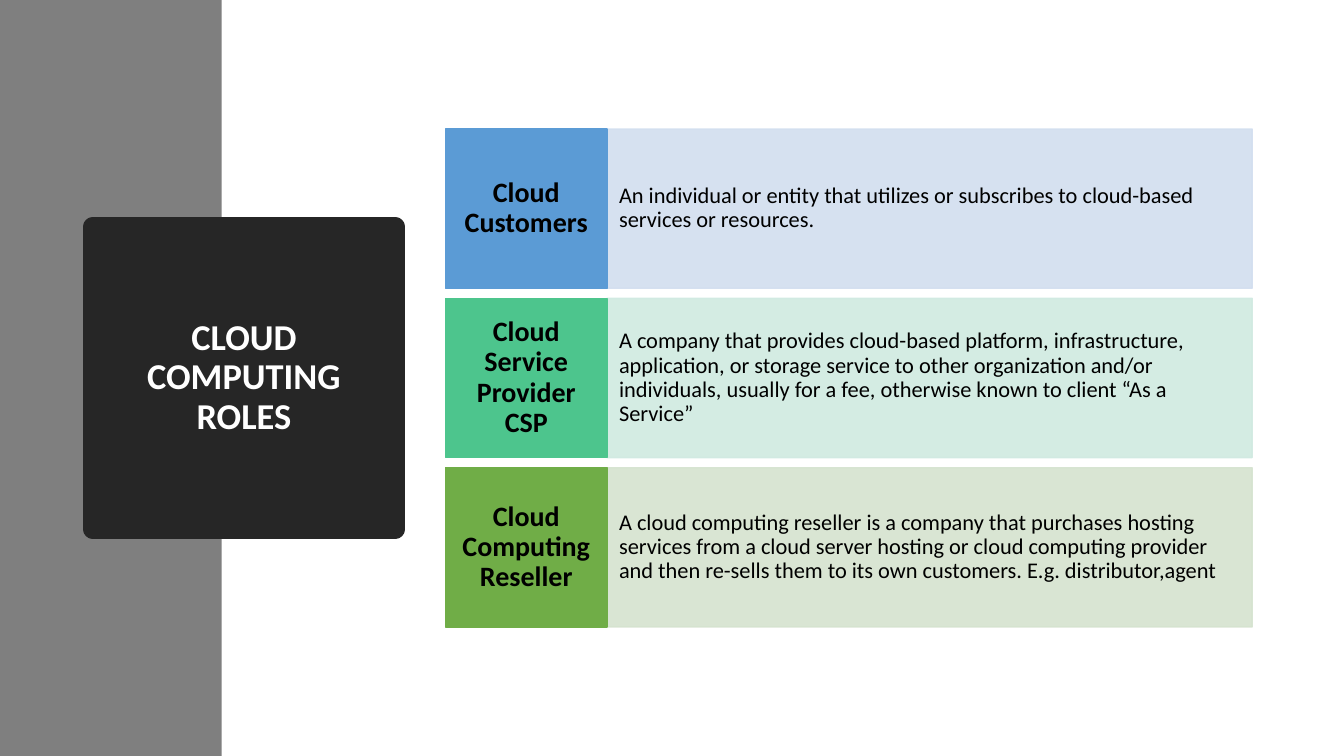
"""Build the cloud computing roles slide."""
from dataclasses import dataclass

from lxml.etree import SubElement
from pptx import Presentation
from pptx.dml.color import RGBColor
from pptx.enum.shapes import MSO_SHAPE as Preset
from pptx.enum.text import MSO_ANCHOR as Anchor, MSO_AUTO_SIZE as AutoSize, PP_ALIGN as Align
from pptx.oxml.ns import qn
from pptx.shapes.autoshape import Shape
from pptx.slide import Slide
from pptx.util import Emu, Pt

EMU_PER_PX = 9144
SLIDE_WIDTH, SLIDE_HEIGHT = 1333, 750
FONT_NAME = "Calibri"

BLACK = RGBColor(0x00, 0x00, 0x00)
WHITE = RGBColor(0xFF, 0xFF, 0xFF)
CHARCOAL = RGBColor(0x26, 0x26, 0x26)
GRAY = RGBColor(0x7F, 0x7F, 0x7F)
BLUE = RGBColor(0x5B, 0x9B, 0xD5)
PALE_BLUE = RGBColor(0xD2, 0xDE, 0xEF)
TEAL = RGBColor(0x4D, 0xC5, 0x8D)
PALE_TEAL = RGBColor(0xD0, 0xEA, 0xE1)
GREEN = RGBColor(0x70, 0xAD, 0x47)
PALE_GREEN = RGBColor(0xD5, 0xE3, 0xCF)

ROW_LEFT, ROW_TOP, ROW_HEIGHT, ROW_STEP = 442, 128, 158, 168
NAME_WIDTH, DESCRIPTION_WIDTH = 160, 640


@dataclass(frozen=True)
class Role:
    """A cloud role with its description and colours."""

    name: str
    description: str
    color: RGBColor
    pale_color: RGBColor


ROLES = [
    Role(
        "Cloud Customers",
        "An individual or entity that utilizes or subscribes to cloud-based services or resources.",
        BLUE,
        PALE_BLUE,
    ),
    Role(
        "Cloud Service Provider CSP",
        "A company that provides cloud-based platform, infrastructure, application, or storage "
        "service to other organization and/or individuals, usually for a fee, otherwise known "
        "to client “As a Service”",
        TEAL,
        PALE_TEAL,
    ),
    Role(
        "Cloud Computing Reseller",
        "A cloud computing reseller is a company that purchases hosting services from a cloud "
        "server hosting or cloud computing provider and then re-sells them to its own "
        "customers. E.g. distributor,agent",
        GREEN,
        PALE_GREEN,
    ),
]


def px(length: int) -> Emu:
    """Turn a length in px into EMU."""
    return Emu(length * EMU_PER_PX)


def paint(shape: Shape, color: RGBColor, line_width: float = 0, opacity: int = 100) -> None:
    """Give a shape one colour for its fill and its outline."""
    shape.fill.solid()
    shape.fill.fore_color.rgb = color
    if line_width:
        shape.line.color.rgb = color
        shape.line.width = Pt(line_width)
        SubElement(shape.line._ln, qn("a:round"))
    else:
        shape.line.fill.background()
    if opacity < 100:
        for color_element in shape._element.spPr.iter(qn("a:srgbClr")):
            SubElement(color_element, qn("a:alpha"), val=str(opacity * 1000))


def add_block(slide: Slide, left: int, top: int, width: int, height: int) -> Shape:
    """Add a rectangle without a shadow."""
    shape = slide.shapes.add_shape(Preset.RECTANGLE, px(left), px(top), px(width), px(height))
    shape.shadow.inherit = False
    return shape


def write_text(
    shape: Shape,
    text: str,
    *,
    size: int,
    color: RGBColor = BLACK,
    bold: bool = False,
    align: Align = Align.CENTER,
    inset_x: int = 10,
    inset_y: int = 5,
) -> None:
    """Fill a shape with one formatted, vertically centred paragraph."""
    frame = shape.text_frame
    frame.word_wrap = True
    frame.auto_size = AutoSize.NONE
    frame.vertical_anchor = Anchor.MIDDLE
    frame.margin_left = frame.margin_right = px(inset_x)
    frame.margin_top = frame.margin_bottom = px(inset_y)
    frame.text = text
    paragraph = frame.paragraphs[0]
    paragraph.alignment = align
    paragraph.line_spacing = 0.9
    font = paragraph.runs[0].font
    font.name, font.size, font.bold = FONT_NAME, Pt(size), bold
    font.color.rgb = color


def add_title(slide: Slide) -> None:
    """Place the title as a dark tile above the sidebar."""
    title = slide.shapes.title
    title.left, title.top, title.width, title.height = px(92), px(225), px(300), px(300)
    paint(title, CHARCOAL, line_width=13.75)
    write_text(title, "CLOUD COMPUTING ROLES", size=26, color=WHITE, bold=True)
    slide.shapes._spTree.append(title._element)


def add_role(slide: Slide, role: Role, top: int) -> None:
    """Add one row with the name of a role and its description."""
    description = add_block(slide, ROW_LEFT + NAME_WIDTH, top, DESCRIPTION_WIDTH, ROW_HEIGHT)
    paint(description, role.pale_color, line_width=1, opacity=90)
    write_text(description, role.description, size=16, align=Align.LEFT, inset_x=12, inset_y=40)
    name = add_block(slide, ROW_LEFT, top, NAME_WIDTH, ROW_HEIGHT)
    paint(name, role.color, line_width=1)
    write_text(name, role.name, size=20, bold=True, inset_x=8, inset_y=16)


def main() -> None:
    """Build and save the presentation."""
    presentation = Presentation()
    presentation.slide_width, presentation.slide_height = px(SLIDE_WIDTH), px(SLIDE_HEIGHT)
    slide = presentation.slides.add_slide(presentation.slide_layouts.get_by_name("Title Only"))
    sidebar = add_block(slide, 0, 0, 220, SLIDE_HEIGHT)
    paint(sidebar, GRAY)
    add_title(slide)
    for index, role in enumerate(ROLES):
        add_role(slide, role, ROW_TOP + index * ROW_STEP)
    presentation.save("out.pptx")


if __name__ == "__main__":
    main()
